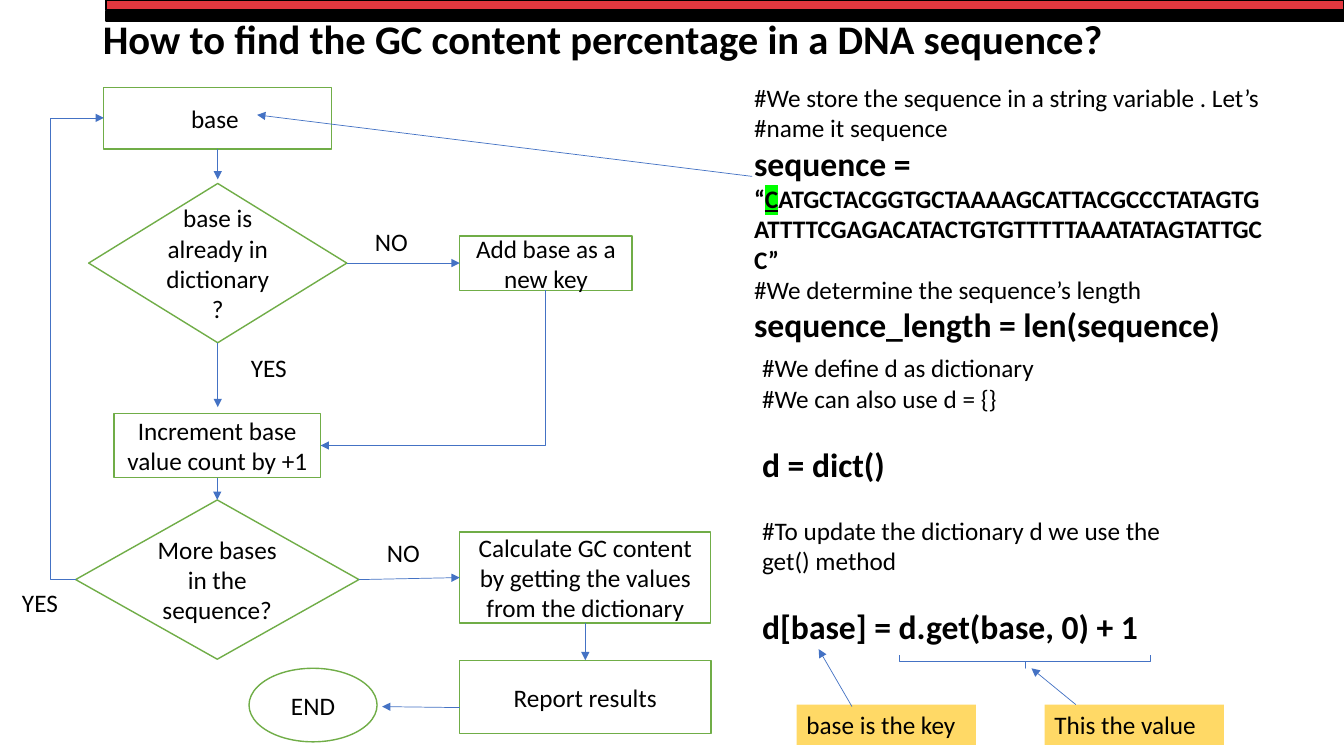
from lxml import etree
from pptx import Presentation
from pptx import util as u
from pptx.dml.color import RGBColor
from pptx.enum import shapes, text
from pptx.oxml import ns

PX = 9144
COLORS = {"black": "000000", "red": "E2383F", "white": "FFFFFF", "green": "70AD47",
          "blue": "4472C4", "yellow": "FFD966", "marker": "00FF00"}
FONT = "Calibri"
TOP, LEFT, BOTTOM, RIGHT = range(4)
KINDS = shapes.MSO_SHAPE
PROCESS, DECISION = KINDS.FLOWCHART_PROCESS, KINDS.FLOWCHART_DECISION

TITLE = "How to find the GC content percentage in a DNA sequence?"
BARS = [("black", (105, 11, 1228, 10)), ("red", (105, 0, 1228, 10))]
STEPS = {
    "base": (PROCESS, (103, 87, 226, 61), "base "),
    "known": (DECISION, (88, 182, 256, 158), "base is already in dictionary?"),
    "add": (PROCESS, (456, 234, 171, 54), "Add base as a new key"),
    "count": (PROCESS, (113, 410, 205, 64), "Increment base value count by +1"),
    "more": (DECISION, (75, 496, 281, 158), "More bases in the sequence?"),
    "calculate": (KINDS.RECTANGLE, (456, 528, 249, 90),
                  "Calculate GC content by getting the values from the dictionary"),
    "report": (PROCESS, (456, 655, 249, 73), "Report results"),
    "end": (KINDS.OVAL, (247, 663, 127, 73), "END"),
}
LABELS = [("YES", (239, 345, 90, 40)), ("NO", (362, 220, 76, 40)),
          ("YES", (12, 578, 57, 40)), ("NO", (374, 528, 76, 40))]
CALLOUTS = [("base is the key", (790, 699, 178, 40)),
            ("This the value", (1036, 699, 178, 40))]
ARROWS = [
    (("base", BOTTOM), (216, 178)),
    (("known", RIGHT), ("add", LEFT)),
    (("known", BOTTOM), (216, 404)),
    (("count", BOTTOM), ("more", TOP)),
    (("more", RIGHT), ("calculate", LEFT)),
    (("calculate", BOTTOM), ("report", TOP)),
    ((456, 702), (379, 701)),
    ((845, 701), (812, 644)),
    ((1067, 699), (1023, 663)),
    ((746, 175), (255, 114)),
]
ELBOWS = [((541, 288), (318, 442), 541), ((75, 575), (103, 117), 50)]
BRACE = (1010, 532, 13, 249)

SEQUENCE = [
    ("sequence = ", {"size": 24}),
    ("“", {}),
    ("C", {"underline": True, "marker": True}),
    ("ATGCTACGGTGCTAAAAGCATTACGCCCTATAGTGATTTTCGAGACATACTGTGTTTTTAAATATAGTATTGCC”", {}),
]
CODE = [
    ((738, 77, 532, 273), [
        ("#We store the sequence in a string variable . Let’s #name it sequence", 18, False, 0),
        (SEQUENCE, 18, True, 0),
        ("#We determine the sequence’s length", 18, False, 0),
        ("sequence_length = len(sequence)", 24, True, 0),
    ]),
    ((746, 345, 445, 333), [
        ("#We define d as dictionary", 18, False, 0),
        ("#We can also use d = {}", 18, False, 0),
        ("d = dict()", 24, True, 22),
        ("#To update the dictionary d we use the get() method", 18, False, 22),
        ("d[base] = d.get(base, 0) + 1", 24, True, 22),
    ]),
]


def emu(values):
    return [u.Emu(v * PX) for v in values]


def rgb(name):
    return RGBColor.from_string(COLORS[name])


def style_font(p, size=18, bold=False):
    p.font.name, p.font.size, p.font.bold = FONT, u.Pt(size), bold
    p.font.color.rgb = rgb("black")


def add_runs(p, runs):
    for words, look in runs:
        r = p.add_run()
        r.text = words
        if "size" in look:
            r.font.size = u.Pt(look["size"])
        if "underline" in look:
            r.font.underline = True
        if "marker" in look:
            mark = etree.SubElement(r.font._element, ns.qn("a:highlight"))
            etree.SubElement(mark, ns.qn("a:srgbClr"), val=COLORS["marker"])


def add_text(s, box, lines, fill=None):
    sp = s.shapes.add_textbox(*emu(box))
    tf = sp.text_frame
    tf.word_wrap = True
    if fill:
        sp.fill.solid()
        sp.fill.fore_color.rgb = rgb(fill)
    for i, (content, size, bold, gap) in enumerate(lines):
        p = tf.add_paragraph() if i else tf.paragraphs[0]
        style_font(p, size, bold)
        p.space_before = u.Pt(gap)
        add_runs(p, [(content, {})] if isinstance(content, str) else content)


def add_box(s, kind, box, fill, line, width=1):
    sp = s.shapes.add_shape(kind, *emu(box))
    sp.shadow.inherit = False
    if fill:
        sp.fill.solid()
        sp.fill.fore_color.rgb = rgb(fill)
    else:
        sp.fill.background()
    sp.line.color.rgb = rgb(line)
    sp.line.width = u.Pt(width)
    return sp


def add_step(s, kind, box, words):
    sp = add_box(s, kind, box, "white", "green")
    tf = sp.text_frame
    tf.word_wrap = True
    tf.vertical_anchor = text.MSO_ANCHOR.MIDDLE
    p = tf.paragraphs[0]
    p.text = words
    p.alignment = text.PP_ALIGN.CENTER
    style_font(p)
    return sp


def add_arrow(s, kind, start, end):
    cx = s.shapes.add_connector(kind, *emu(start + end))
    cx.line.color.rgb = rgb("blue")
    cx.line.width = u.Pt(0.5)
    etree.SubElement(cx.line._get_or_add_ln(), ns.qn("a:tailEnd"), type="triangle")
    etree.SubElement(cx._element.spPr, ns.qn("a:effectLst"))
    return cx


def add_link(s, steps, start, end):
    joined = [isinstance(place[0], str) for place in (start, end)]
    cx = add_arrow(s, shapes.MSO_CONNECTOR.STRAIGHT,
                   (0, 0) if joined[0] else start, (0, 0) if joined[1] else end)
    if joined[0]:
        cx.begin_connect(steps[start[0]], start[1])
    if joined[1]:
        cx.end_connect(steps[end[0]], end[1])


def add_elbow(s, start, end, bend_x):
    cx = add_arrow(s, shapes.MSO_CONNECTOR.ELBOW, start, end)
    ratio = round((bend_x - start[0]) / (end[0] - start[0]) * 100000)
    guides = cx._element.spPr.find(ns.qn("a:prstGeom")).get_or_add_avLst()
    etree.SubElement(guides, ns.qn("a:gd"), name="adj1", fmla=f"val {ratio}")


def add_title(s):
    sp = s.shapes.title
    sp.left, sp.top, sp.width, sp.height = emu((92, 3, 1202, 76))
    tf = sp.text_frame
    tf.auto_size = text.MSO_AUTO_SIZE.NONE
    tf.vertical_anchor = text.MSO_ANCHOR.MIDDLE
    p = tf.paragraphs[0]
    p.text = TITLE
    p.alignment = text.PP_ALIGN.LEFT
    p.line_spacing = 0.9
    style_font(p, 29, True)


def main():
    prs = Presentation()
    prs.slide_width, prs.slide_height = emu((1333, 750))
    s = prs.slides.add_slide(prs.slide_layouts.get_by_name("Title Only"))
    add_title(s)
    for color, box in BARS:
        add_box(s, KINDS.RECTANGLE, box, color, "black")
    for box, lines in CODE:
        add_text(s, box, lines)
    steps = {name: add_step(s, *step) for name, step in STEPS.items()}
    for words, box in LABELS:
        add_text(s, box, [(words, 18, False, 0)])
    for words, box in CALLOUTS:
        add_text(s, box, [(words, 18, False, 0)], "yellow")
    for elbow in ELBOWS:
        add_elbow(s, *elbow)
    brace = add_box(s, KINDS.RIGHT_BRACE, BRACE, None, "blue", 0.5)
    brace.rotation = 90
    brace.adjustments[0] = 0
    for start, end in ARROWS:
        add_link(s, steps, start, end)
    prs.save("out.pptx")


if __name__ == "__main__":
    main()
